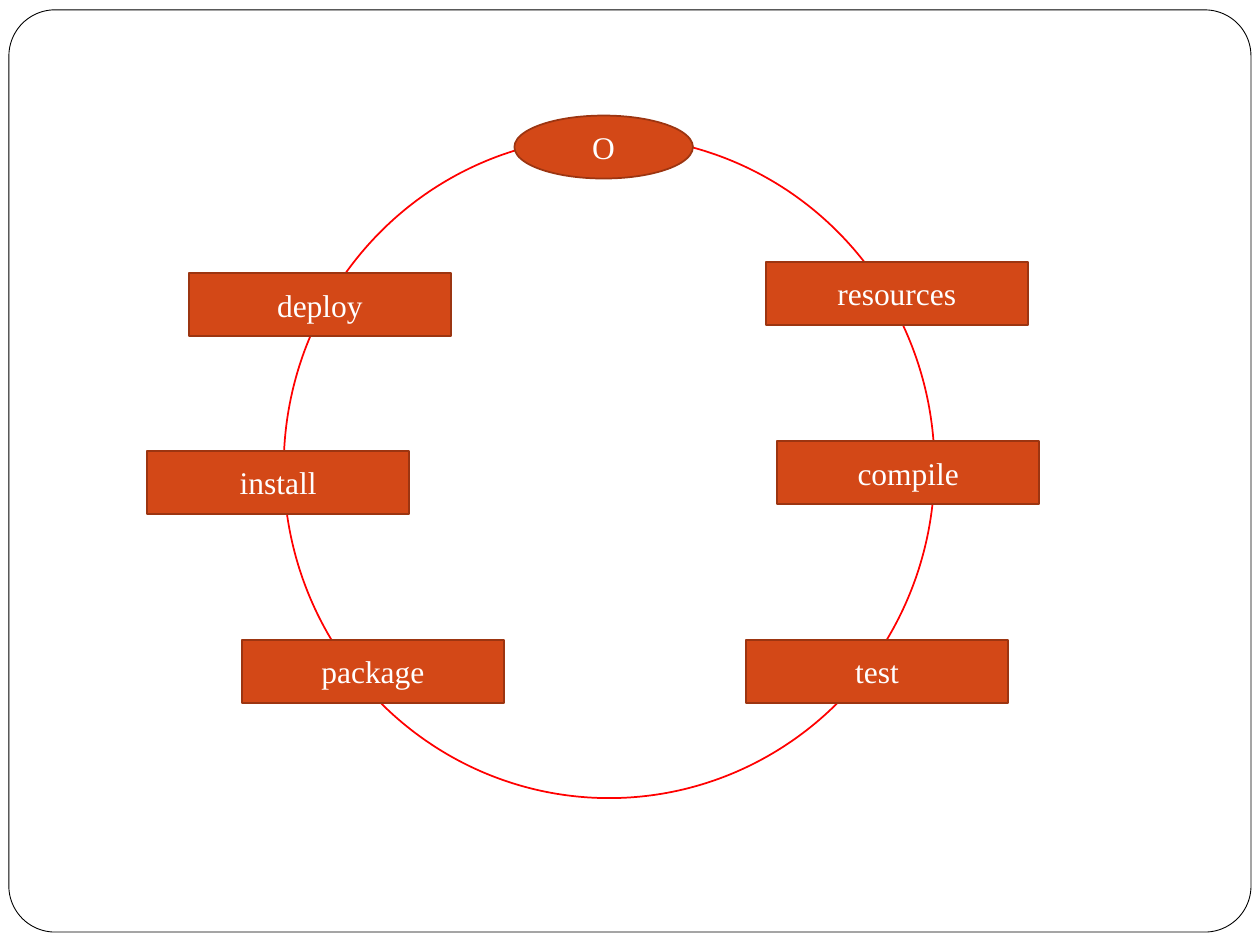
from pptx import Presentation
from pptx import util as u
from pptx.dml.color import RGBColor
from pptx.enum import shapes, text

SHAPE = shapes.MSO_SHAPE
WHITE = "FFFFFF"
ORANGE = "D34817"
BROWN = "9C3511"
PHASE_WIDTH, PHASE_HEIGHT = 5.28, 1.27
PHASES = [
    ("resources", 15.44, 5.28),
    ("compile", 15.67, 8.89),
    ("test", 15.04, 12.9),
    ("package", 4.88, 12.9),
    ("install", 2.97, 9.09),
    ("deploy", 3.81, 5.51),
]


def color(value):
    return RGBColor.from_string(value)


def apply_format(target, values):
    for name, value in values.items():
        setattr(target, name, value)


def add_outline(slide, kind, box, line, width=1, fill=None):
    shape = slide.shapes.add_shape(kind, *(u.Cm(length) for length in box))
    shape.shadow.inherit = False
    if fill:
        shape.fill.solid()
        shape.fill.fore_color.rgb = color(fill)
    else:
        shape.fill.background()
    shape.line.color.rgb = color(line)
    shape.line.width = u.Pt(width)
    return shape


def add_node(slide, kind, label, box):
    shape = add_outline(slide, kind, box, BROWN, fill=ORANGE)
    shape.text_frame.vertical_anchor = text.MSO_ANCHOR.MIDDLE
    paragraph = shape.text_frame.paragraphs[0]
    paragraph.alignment = text.PP_ALIGN.CENTER
    run = paragraph.add_run()
    run.text = label
    apply_format(run.font, {"name": "Times New Roman", "size": u.Pt(18)})
    run.font.color.rgb = color(WHITE)


def main():
    presentation = Presentation()
    apply_format(presentation, {"slide_width": u.Cm(25.4), "slide_height": u.Cm(19.05)})
    slide = presentation.slides.add_slide(presentation.slide_layouts[6])

    frame = add_outline(slide, SHAPE.ROUNDED_RECTANGLE, (0.18, 0.2, 25.04, 18.59),
                        "000000", width=0.5, fill=WHITE)
    frame.adjustments[0] = 0.05
    add_outline(slide, SHAPE.OVAL, (5.72, 2.75, 13.12, 13.34), "FF0000")

    for label, left, top in PHASES:
        add_node(slide, SHAPE.RECTANGLE, label, (left, top, PHASE_WIDTH, PHASE_HEIGHT))
    add_node(slide, SHAPE.OVAL, "O", (10.37, 2.33, 3.6, PHASE_HEIGHT))

    presentation.save("out.pptx")


if __name__ == "__main__":
    main()
